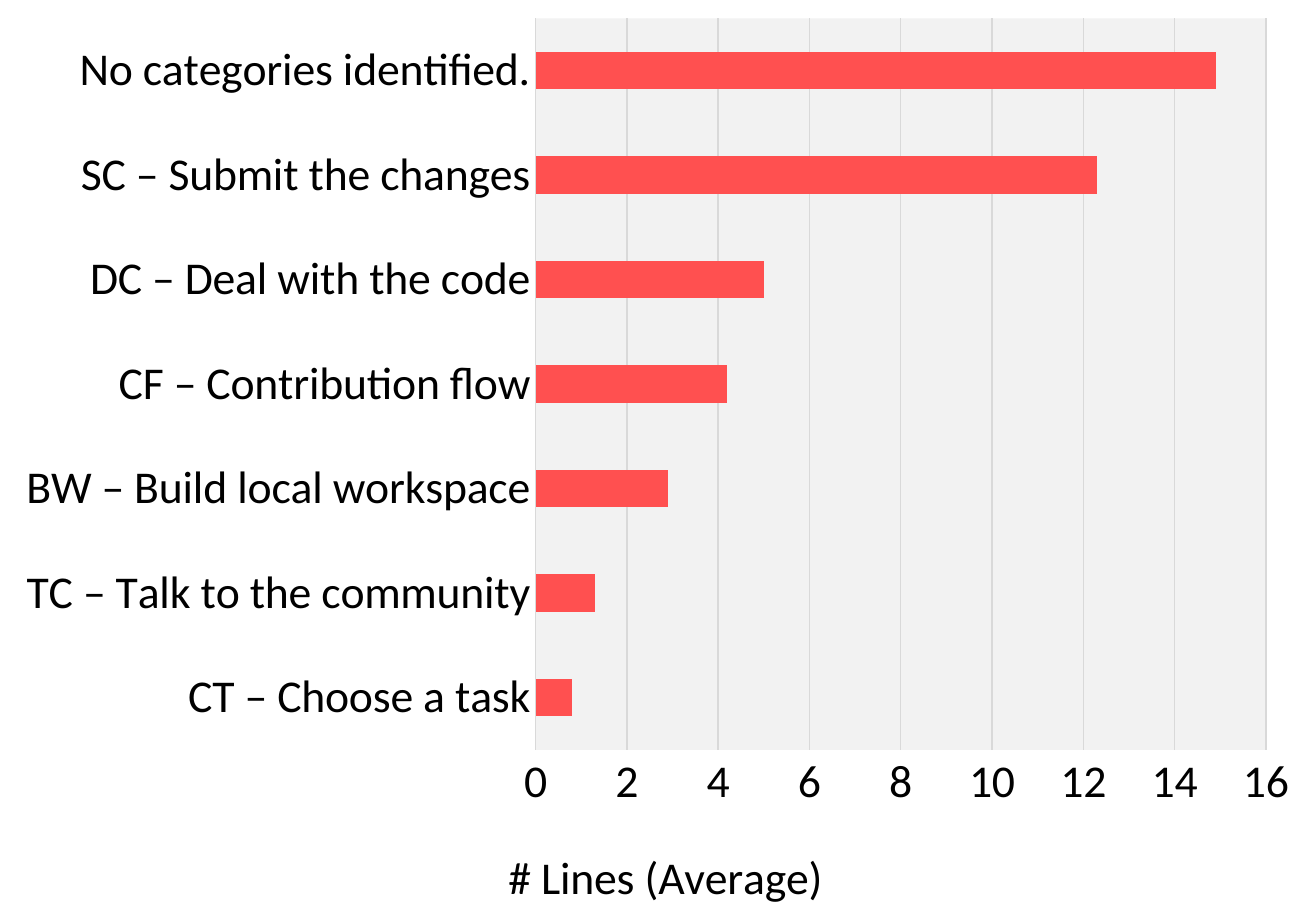
from lxml import etree
from pptx import Presentation
from pptx.chart.data import CategoryChartData
from pptx.dml.color import RGBColor
from pptx.enum.chart import XL_CHART_TYPE, XL_TICK_MARK
from pptx.oxml import parse_xml
from pptx.oxml.ns import nsdecls, qn
from pptx.util import Pt

AVERAGE_LINES = [
    ("CT – Choose a task", 0.8),
    ("TC – Talk to the community", 1.3),
    ("BW – Build local workspace", 2.9),
    ("CF – Contribution flow", 4.2),
    ("DC – Deal with the code", 5),
    ("SC – Submit the changes", 12.3),
    ("No categories identified.", 14.9),
]
AXIS_TITLE = "# Lines (Average)"
COLORS = {"bar": "FF5050", "plot": "F2F2F2", "grid": "D9D9D9", "text": "000000"}
FONT_NAME, FONT_SIZE = "Calibri", Pt(25)

EMU_PER_PX = 9144
WIDTH, HEIGHT = 1000, 700
PLOT_BOX = (407, 14, 555, 558)
TITLE_CORNER = (380, 640)


def color(name):
    return RGBColor.from_string(COLORS[name])


def style_font(font):
    font.name, font.size, font.bold = FONT_NAME, FONT_SIZE, False
    font.color.rgb = color("text")


def style_line(line):
    line.color.rgb = color("grid")
    line.width = Pt(0.75)


def make_layout(box, inner=False):
    """Return a manual chart layout for a box in px: left, top and maybe width, height."""
    layout = parse_xml(f"<c:layout {nsdecls('c')}><c:manualLayout/></c:layout>")
    settings = [("layoutTarget", "inner")] if inner else []
    settings += [("xMode", "edge"), ("yMode", "edge")]
    settings += [(key, f"{length / full:.4f}")
                 for key, length, full in zip("xywh", box, (WIDTH, HEIGHT) * 2)]
    for key, value in settings:
        etree.SubElement(layout[0], qn(f"c:{key}")).set("val", value)
    return layout


def drop_layout(element):
    for layout in element.findall(qn("c:layout")):
        element.remove(layout)


presentation = Presentation()
presentation.slide_width = WIDTH * EMU_PER_PX
presentation.slide_height = HEIGHT * EMU_PER_PX
slide = presentation.slides.add_slide(presentation.slide_layouts[6])

data = CategoryChartData()
data.categories = [category for category, _ in AVERAGE_LINES]
data.add_series("Series 1", [value for _, value in AVERAGE_LINES])
chart = slide.shapes.add_chart(
    XL_CHART_TYPE.BAR_CLUSTERED, 0, 0,
    presentation.slide_width, presentation.slide_height, data).chart
chart.has_title = chart.has_legend = False
style_font(chart.font)

plot = chart.plots[0]
plot.gap_width = 182
plot.vary_by_categories = False
bar_fill = plot.series[0].format.fill
bar_fill.solid()
bar_fill.fore_color.rgb = color("bar")

category_axis, value_axis = chart.category_axis, chart.value_axis
for axis in (category_axis, value_axis):
    axis.major_tick_mark = axis.minor_tick_mark = XL_TICK_MARK.NONE
    style_font(axis.tick_labels.font)
style_line(category_axis.format.line)
value_axis.format.line.fill.background()
value_axis.minimum_scale, value_axis.maximum_scale, value_axis.major_unit = 0, 16, 2
value_axis.has_major_gridlines = True
style_line(value_axis.major_gridlines.format.line)
value_axis.tick_labels.number_format = "0"
value_axis.tick_labels.number_format_is_linked = False

axis_title = value_axis.axis_title
run = axis_title.text_frame.paragraphs[0].add_run()
run.text = AXIS_TITLE
style_font(run.font)
title_element = value_axis._element.find(qn("c:title"))
drop_layout(title_element)
title_element.find(qn("c:tx")).addnext(make_layout(TITLE_CORNER))

plot_area = chart.element.find(f".//{qn('c:plotArea')}")
drop_layout(plot_area)
plot_area.insert(0, make_layout(PLOT_BOX, inner=True))
plot_area.append(parse_xml(
    f"<c:spPr {nsdecls('c', 'a')}><a:solidFill><a:srgbClr val=\"{COLORS['plot']}\"/>"
    "</a:solidFill><a:ln><a:noFill/></a:ln></c:spPr>"))

presentation.save("out.pptx")
